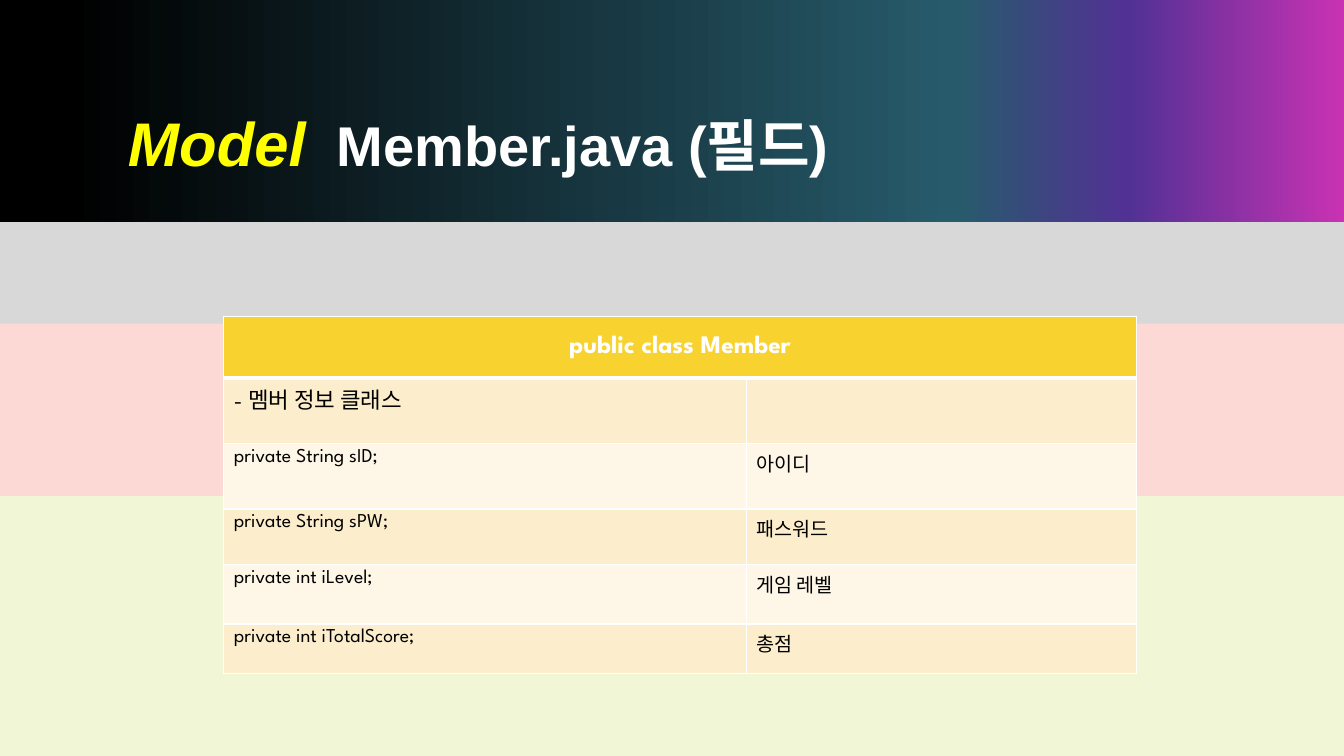
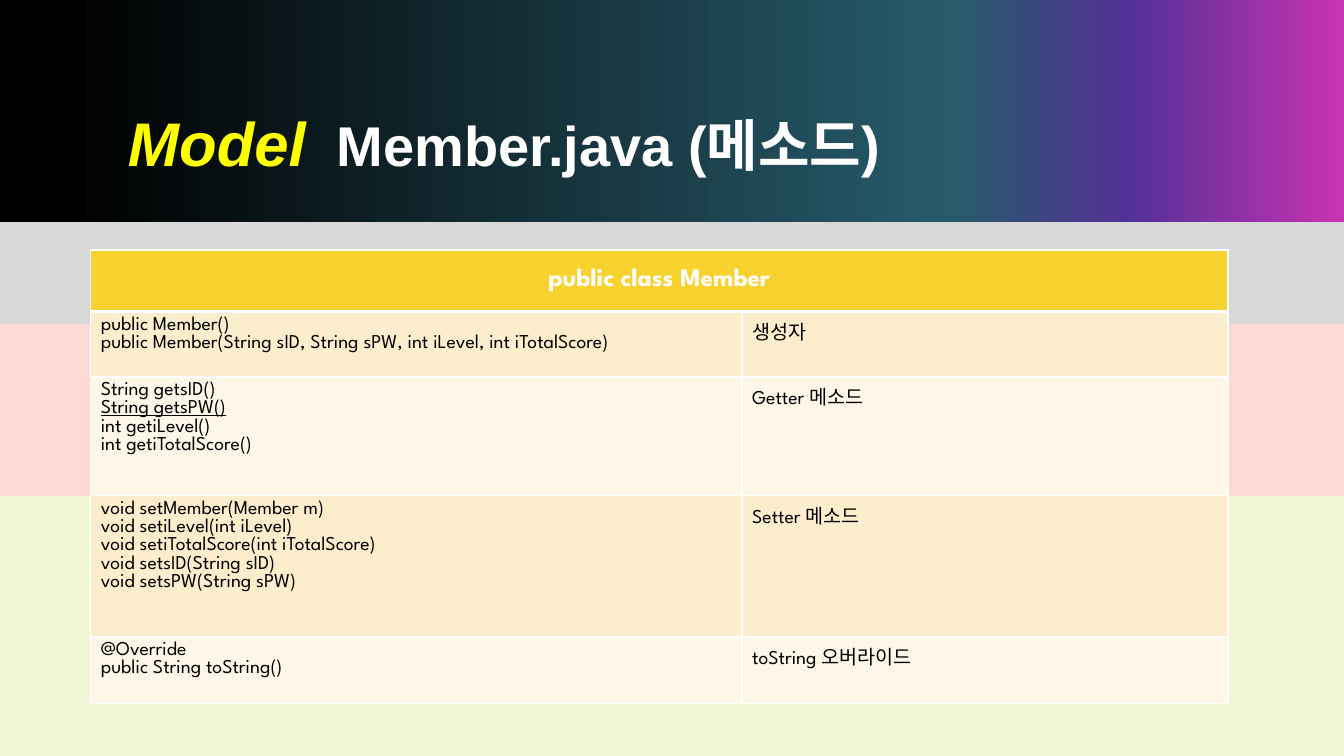
import pptx
import pptx.util
import pptx.dml.color
import pptx.enum.shapes
import pptx.enum.text
import pptx.oxml
import pptx.oxml.ns
from lxml import etree

Inches, Pt = pptx.util.Inches, pptx.util.Pt
qn = pptx.oxml.ns.qn
ALIGN = pptx.enum.text.PP_ALIGN
ANCHOR = pptx.enum.text.MSO_ANCHOR

WIDE, HIGH = 13.33, 7.5
HEX = {
    "gray": "BFBFBF", "pink": "FCD9D5", "lime": "F1F6D6",
    "yellow": "FFFF00", "white": "FFFFFF", "black": "000000",
    "gold": "F8D22F", "sand": "FCEECD", "cream": "FEF7E8",
    "rose": "C832B3", "violet": "523195", "teal": "275B6B",
}
STOPS = [(0, "rose"), (16, "violet"), (29, "teal"), (95, "black")]

FONT = {
    "tag": {"name": "Arial", "size": Pt(44), "bold": True, "italic": True},
    "title": {"name": "Arial", "size": Pt(40), "bold": True, "italic": False},
    "head": {"name": "League Spartan", "size": Pt(18), "bold": True},
    "cell": {"name": "League Spartan", "size": Pt(14), "bold": False},
}
LEAD = {"size": Pt(16)}
LINED = {"underline": True}

FIELDS = {
    "title": "Member.java (필드)",
    "box": (2.22, 3.14),
    "cols": [5.18, 3.87],
    "rows": [0.61, 0.65, 0.65, 0.55, 0.59, 0.49],
    "body": [
        ([("- 멤버 정보 클래스", LEAD)], ""),
        (["private String sID;"], "아이디"),
        (["private String sPW;"], "패스워드"),
        (["private int iLevel;"], "게임 레벨"),
        (["private int iTotalScore;"], "총점"),
    ],
}
METHODS = {
    "title": "Member.java (메소드)",
    "box": (0.9, 2.48),
    "cols": [6.46, 4.82],
    "rows": [0.61, 0.65, 1.18, 1.4, 0.66],
    "body": [
        (["public Member()",
          "public Member(String sID, String sPW, int iLevel, int iTotalScore)"],
         "생성자"),
        (["String getsID()", ("String getsPW()", LINED),
          "int getiLevel()", "int getiTotalScore()"], "Getter 메소드"),
        (["void setMember(Member m)", "void setiLevel(int iLevel)",
          "void setiTotalScore(int iTotalScore)", "void setsID(String sID)",
          "void setsPW(String sPW)"], "Setter 메소드"),
        (["@Override", "public String toString()"], "toString 오버라이드"),
    ],
}


def rgb(tone):
    return pptx.dml.color.RGBColor.from_string(HEX[tone])


def style(font, form, tone):
    for key, value in form.items():
        setattr(font, key, value)
    font.color.rgb = rgb(tone)


def write(para, text, form, tone):
    run = para.add_run()
    run.text = text
    style(run.font, form, tone)


def band(slide, top, high, tone):
    """Add a full-width strip without outline."""
    strip = slide.shapes.add_shape(
        pptx.enum.shapes.MSO_SHAPE.RECTANGLE,
        Inches(0), Inches(top), Inches(WIDE), Inches(high))
    strip.shadow.inherit = False
    strip.line.fill.background()
    strip.fill.solid()
    strip.fill.fore_color.rgb = rgb(tone)
    return strip


def fade(strip):
    """Give the strip the gradient in STOPS, running right to left."""
    strip.fill.gradient()
    strip.fill.gradient_angle = 180
    stops = next(strip._element.spPr.iter(qn("a:gsLst")))
    for old in list(stops):
        stops.remove(old)
    for place, tone in STOPS:
        stop = etree.SubElement(stops, qn("a:gs"), pos=str(place * 1000))
        etree.SubElement(stop, qn("a:srgbClr"), val=HEX[tone])


def frame(slide):
    """Draw the backdrop that every slide shares."""
    veil = band(slide, 0.12, HIGH - 0.12, "gray")
    color = next(veil._element.spPr.iter(qn("a:srgbClr")))
    etree.SubElement(color, qn("a:alpha"), val="60000")
    fade(band(slide, 0, 2.2, "black"))
    band(slide, 3.21, 1.71, "pink")
    band(slide, 4.92, 2.58, "lime")


def title(slide, text):
    box = slide.shapes.add_textbox(
        Inches(1.17), Inches(0.7), Inches(11), Inches(1.5))
    box.text_frame.word_wrap = True
    box.text_frame.vertical_anchor = ANCHOR.MIDDLE
    para = box.text_frame.paragraphs[0]
    para.line_spacing = 0.9
    tabs = etree.SubElement(para._p.get_or_add_pPr(), qn("a:tabLst"))
    etree.SubElement(tabs, qn("a:tab"), pos=str(Inches(2.07)), algn="l")
    write(para, "Model\t", FONT["tag"], "yellow")
    write(para, text, FONT["title"], "white")


def edge(cell, top, base):
    """Draw white cell borders; top and base are widths in points."""
    sides = {"lnL": 1, "lnR": 1, "lnT": top, "lnB": base}
    props = cell._tc.get_or_add_tcPr()
    for spot, (side, width) in enumerate(sides.items()):
        line = etree.Element(qn("a:" + side), w=str(Pt(width)))
        fill = etree.SubElement(line, qn("a:solidFill"))
        etree.SubElement(fill, qn("a:srgbClr"), val=HEX["white"])
        props.insert(spot, line)


def paint(grid):
    for row, line in enumerate(grid.rows):
        tone = "gold" if row == 0 else ("cream", "sand")[row % 2]
        for cell in line.cells:
            cell.fill.solid()
            cell.fill.fore_color.rgb = rgb(tone)
            edge(cell, 3 if row == 1 else 1, 3 if row == 0 else 1)


def fill(cell, lines):
    """Write one paragraph a line; a line may be (text, extra format)."""
    for spot, line in enumerate(lines):
        text, extra = (line, {}) if isinstance(line, str) else line
        frame = cell.text_frame
        para = frame.add_paragraph() if spot else frame.paragraphs[0]
        form = FONT["cell"] | extra
        if text:
            write(para, text, form, "black")
        else:
            style(para.font, form, "black")


def table(slide, data):
    cols, rows = data["cols"], data["rows"]
    size = (*data["box"], sum(cols), sum(rows))
    grid = slide.shapes.add_table(
        len(rows), len(cols), *map(Inches, size)).table
    for col, wide in zip(grid.columns, cols):
        col.width = Inches(wide)
    for row, high in zip(grid.rows, rows):
        row.height = Inches(high)
    paint(grid)
    head = grid.cell(0, 0)
    head.merge(grid.cell(0, 1))
    head.vertical_anchor = ANCHOR.MIDDLE
    para = head.text_frame.paragraphs[0]
    para.alignment = ALIGN.CENTER
    write(para, "public class Member", FONT["head"], "white")
    for row, (code, note) in enumerate(data["body"], 1):
        fill(grid.cell(row, 0), code)
        fill(grid.cell(row, 1), [note])


def main():
    deck = pptx.Presentation()
    deck.slide_width, deck.slide_height = Inches(WIDE), Inches(HIGH)
    for data in (FIELDS, METHODS):
        slide = deck.slides.add_slide(deck.slide_layouts[6])
        frame(slide)
        title(slide, data["title"])
        table(slide, data)
    deck.save("out.pptx")


if __name__ == "__main__":
    main()
